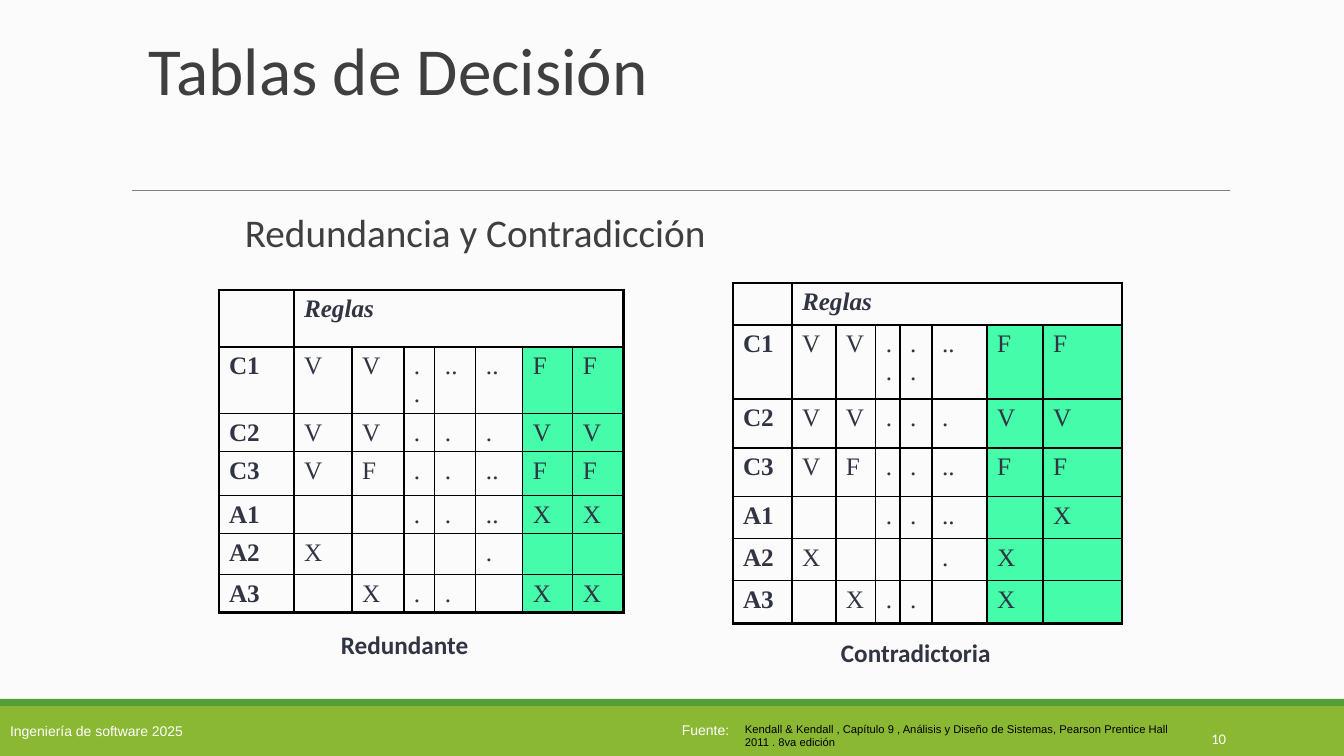
from lxml import etree
from pptx import Presentation
from pptx.dml.color import RGBColor
from pptx.enum.shapes import MSO_CONNECTOR, MSO_SHAPE
from pptx.enum.text import MSO_ANCHOR, PP_ALIGN
from pptx.oxml.ns import qn
from pptx.util import Emu, Pt

TOP, MIDDLE, BOTTOM = MSO_ANCHOR.TOP, MSO_ANCHOR.MIDDLE, MSO_ANCHOR.BOTTOM
LEFT, RIGHT = PP_ALIGN.LEFT, PP_ALIGN.RIGHT
RECT, STRAIGHT = MSO_SHAPE.RECTANGLE, MSO_CONNECTOR.STRAIGHT
PX = 914400 / 100.8
NO_STYLE = "{2D5ABB26-0587-4C30-8999-92F81FD0307C}"

THEME = {
    "background": "FBFBFB", "bar": "8AB833", "strip": "549E39", "rule": "7F7F7F",
    "marked": "44FCA9", "border": "000000", "thin": 1, "thick": 2.25,
    "title": dict(name="Calibri", size=48, color="3F3F3F"),
    "subtitle": dict(name="Calibri", size=28, color="3F3F3F"),
    "caption": dict(name="Calibri", size=18, color="313543", bold=True),
    "cell": dict(name="Times New Roman", size=18, color="313543"),
    "footer": dict(name="Arial", size=10, color="FFFFFF"),
    "number": dict(name="Calibri", size=10.5, color="FFFFFF"),
    "source": dict(name="Arial", size=8, color="000000"),
}


def px(*values):
    return [Emu(round(v * PX)) for v in values]


def write(p, text, style, **extra):
    r = p.add_run()
    r.text = text
    for key, value in {**style, **extra}.items():
        if key == "color":
            r.font.color.rgb = RGBColor.from_string(value)
        else:
            setattr(r.font, key, Pt(value) if key == "size" else value)


prs = Presentation()
prs.slide_width, prs.slide_height = px(1344, 756)
s = prs.slides.add_slide(prs.slide_layouts[6])
s.background.fill.solid()
s.background.fill.fore_color.rgb = RGBColor.from_string(THEME["background"])

# Footer bands
for box, color, text in [
    ((0, 706, 1344, 50), "bar", "Ingeniería de software 2025"),
    ((0, 699, 1344, 7), "strip", ""),
]:
    sp = s.shapes.add_shape(RECT, *px(*box))
    sp.shadow.inherit = False
    sp.fill.solid()
    sp.fill.fore_color.rgb = RGBColor.from_string(THEME[color])
    sp.line.fill.background()
    if text:
        tf = sp.text_frame
        tf.vertical_anchor = MIDDLE
        tf.margin_left = px(10)[0]
        tf.paragraphs[0].alignment = LEFT
        write(tf.paragraphs[0], text, THEME["footer"])

# Rule under the title
rule = s.shapes.add_connector(STRAIGHT, *px(132, 191, 1230, 191))
rule.line.color.rgb = RGBColor.from_string(THEME["rule"])
rule.line.width = Pt(0.75)
etree.SubElement(rule._element.spPr, qn("a:effectLst"))

# Text boxes: box, text, style, anchor, alignment, line spacing
for box, text, style, anchor, align, spacing in [
    ((139, 36, 1138, 126), "Tablas de Decisión", "title", TOP, LEFT, 0.85),
    ((235, 211, 1109, 443), "Redundancia y Contradicción", "subtitle", TOP, LEFT, 0.85),
    ((331, 624, 154, 40), "Redundante", "caption", TOP, LEFT, 1),
    ((831, 632, 176, 40), "Contradictoria", "caption", TOP, LEFT, 1),
    ((672, 717, 80, 27), "Fuente:", "footer", TOP, LEFT, 1),
    ((735, 717, 469, 37),
     "Kendall & Kendall , Capítulo 9 , Análisis y Diseño de Sistemas, "
     "Pearson Prentice Hall 2011 . 8va edición", "source", TOP, LEFT, 1),
    ((1092, 712, 144, 40), "10", "number", BOTTOM, RIGHT, 1),
]:
    tf = s.shapes.add_textbox(*px(*box)).text_frame
    tf.word_wrap = True
    tf.vertical_anchor = anchor
    p = tf.paragraphs[0]
    p.alignment = align
    p.line_spacing = spacing
    write(p, text, THEME[style])

# Decision tables: the condition rows are shared, the actions differ
CONDITIONS = [
    ["", "Reglas", "", "", "", "", "", ""],
    ["C1", "V", "V", "..", "..", "..", "F", "F"],
    ["C2", "V", "V", ".", ".", ".", "V", "V"],
    ["C3", "V", "F", ".", ".", "..", "F", "F"],
]
ACTIONS = [
    ["A1", "", "", ".", ".", ".."],
    ["A2", "X", "", "", "", "."],
    ["A3", "", "X", ".", ".", ""],
]
TABLES = [
    dict(at=(733, 283), cols=[59, 44, 40, 24, 32, 55, 56, 79],
         rows=[42, 74, 49, 49, 42, 42, 43],
         marks=[["", "X"], ["X", ""], ["X", ""]]),
    dict(at=(219, 290), cols=[75, 58, 52, 31, 41, 47, 50, 51],
         rows=[57, 66, 38, 44, 38, 41, 38],
         marks=[["X", "X"], ["", ""], ["X", "X"]]),
]
for layout in TABLES:
    values = CONDITIONS + [a + m for a, m in zip(ACTIONS, layout["marks"])]
    cols, rows = layout["cols"], layout["rows"]
    frame = s.shapes.add_table(len(rows), len(cols), *px(*layout["at"], sum(cols), sum(rows)))
    table = frame.table
    table._tbl.tblPr.find(qn("a:tableStyleId")).text = NO_STYLE
    table.first_row = table.horz_banding = False
    for column, width in zip(table.columns, px(*cols)):
        column.width = width
    for row, height in zip(table.rows, px(*rows)):
        row.height = height
    table.cell(0, 1).merge(table.cell(0, 7))

    for i, row_values in enumerate(values):
        for j, text in enumerate(row_values):
            cell = table.cell(i, j)
            # A small bottom margin keeps the rows from growing
            cell.margin_bottom = px(1)[0]
            if cell.is_spanned:
                continue
            # Thick outer frame, thin inner grid
            outer = {"lnL": j == 0, "lnR": j == 7 or cell.is_merge_origin,
                     "lnT": i == 0, "lnB": i == 6}
            tcPr = cell._tc.get_or_add_tcPr()
            for side, thick in outer.items():
                width = Pt(THEME["thick" if thick else "thin"])
                ln = etree.SubElement(tcPr, qn("a:" + side), w=str(width))
                fill = etree.SubElement(ln, qn("a:solidFill"))
                etree.SubElement(fill, qn("a:srgbClr"), val=THEME["border"])
            # The two compared rules are marked
            if i > 0 and j >= 6:
                cell.fill.solid()
                cell.fill.fore_color.rgb = RGBColor.from_string(THEME["marked"])
            else:
                cell.fill.background()
            p = cell.text_frame.paragraphs[0]
            if text:
                write(p, text, THEME["cell"], bold=i == 0 or j == 0, italic=i == 0)
            else:
                end = p._p.get_or_add_endParaRPr()
                end.set("sz", str(THEME["cell"]["size"] * 100))
                etree.SubElement(end, qn("a:latin"), typeface=THEME["cell"]["name"])

prs.save("out.pptx")
